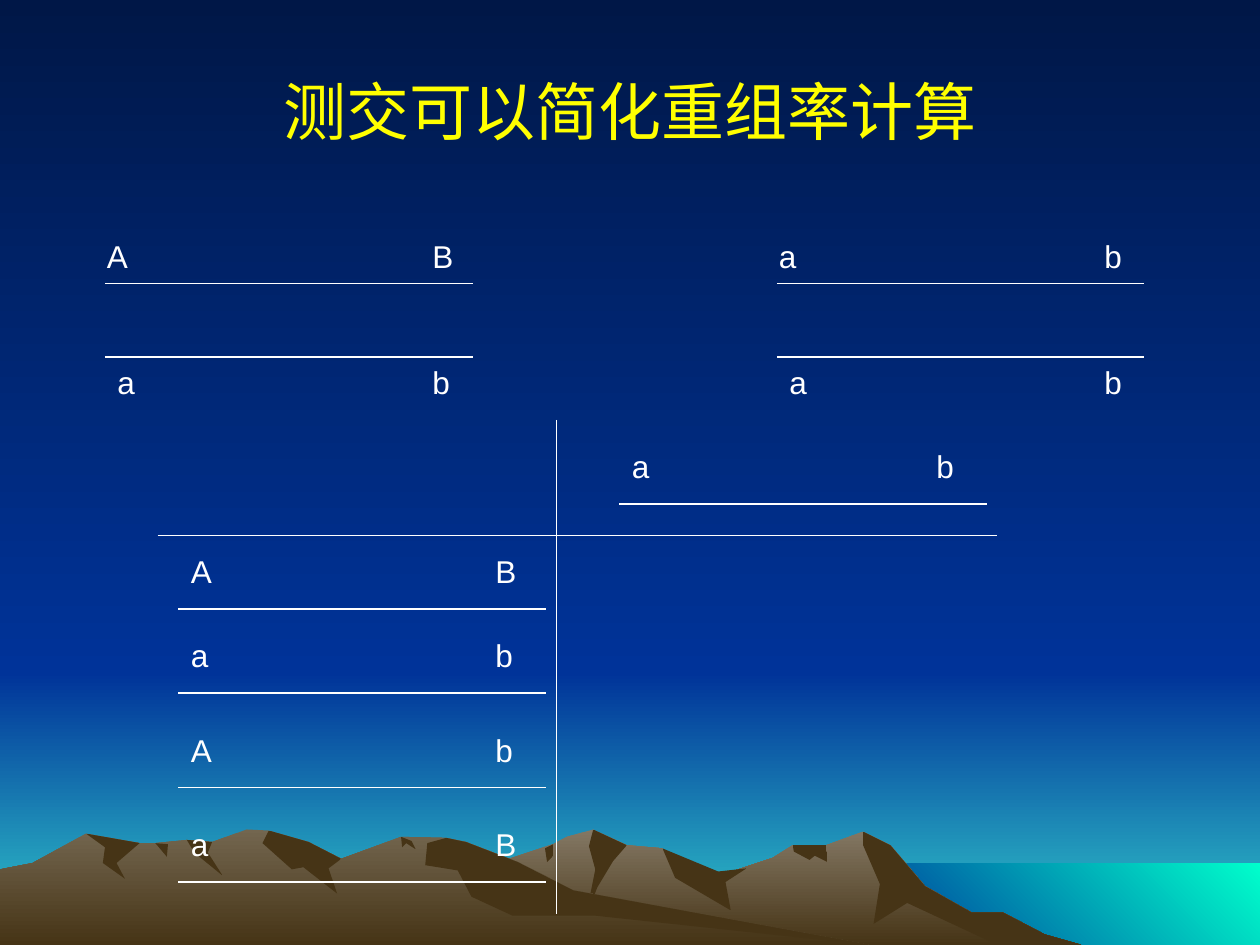
"""Build the slide on test crosses and recombination rate over a mountain scene."""
from lxml import etree
from pptx import Presentation
from pptx import util as u
from pptx.dml.color import RGBColor
from pptx.enum import shapes, text
from pptx.oxml import ns

PX = u.Inches(1) // 120
WIDE, HIGH = 1200, 900
SHORE = 640

theme = {
    "white": RGBColor.from_string("FFFFFF"),
    "gold": RGBColor.from_string("FFFF00"),
    "blue": RGBColor.from_string("003399"),
    "sky": ("001747", "003399"),
    "dusk": ("003399", "33CCCC"),
    "sea": ("003399", "00FFCC"),
    "near": ("847864", "463416"),
    "far": ("73664F", "463416"),
    "shade": ("463416", "463416"),
    "head": u.Pt(36),
    "gene": u.Pt(18),
    "rule": u.Pt(0.75),
    "latin": "Arial",
    "han": "Noto Sans CJK SC",
}

deck = Presentation()
deck.slide_width, deck.slide_height = WIDE * PX, HIGH * PX
slide = deck.slides.add_slide(deck.slide_layouts[5])
slide.background.fill.solid()
slide.background.fill.fore_color.rgb = theme["blue"]


def paint(shape, tone, angle=270):
    shape.shadow.inherit = False
    shape.line.fill.background()
    shape.fill.gradient()
    shape.fill.gradient_angle = angle
    for stop, tint in zip(shape.fill.gradient_stops, theme[tone]):
        stop.color.rgb = RGBColor.from_string(tint)


def rule(x1, y1, x2, y2):
    line = slide.shapes.add_connector(
        shapes.MSO_CONNECTOR.STRAIGHT, x1 * PX, y1 * PX, x2 * PX, y2 * PX)
    line.line.color.rgb = theme["white"]
    line.line.width = theme["rule"]
    etree.SubElement(line.element.spPr, ns.qn("a:effectLst"))


for tone, x, top, end, angle in (
    ("dusk", 0, SHORE, HIGH, 270),
    ("sky", 0, 0, SHORE, 270),
    ("sea", 820, 822, HIGH, 45),
):
    band = slide.shapes.add_shape(
        shapes.MSO_SHAPE.RECTANGLE, x * PX, top * PX, (WIDE - x) * PX, (end - top) * PX)
    paint(band, tone, angle)

near = [
    (310, HIGH), (392, 851), (479, 820), (527, 804), (540, 797), (565, 790), (597, 805),
    (631, 808), (643, 828), (679, 836), (736, 817), (755, 805), (787, 805), (822, 792),
    (848, 805), (881, 844), (925, 869), (955, 869), (995, 890), (1030, HIGH),
]
far = [
    (0, 828), (31, 822), (82, 794), (133, 803), (148, 803), (178, 800), (202, 802),
    (235, 790), (256, 791), (294, 802), (325, 818), (382, 797), (425, 798), (444, 802),
    (493, 821), (546, 848), (828, HIGH),
]
# Each slope: first and last crest point, then its foot as steps from the first point.
slopes = {
    "near": (
        (3, 3, [(0, 11), (-6, 17), (-8, 4)]),
        (5, 6, [(19, 30), (4, 55), (-7, 83), (2, 38), (-4, 16)]),
        (7, 7, [(53, 22), (80, 19), (60, 32), (65, 59), (12, 28)]),
        (11, 12, [(33, 16), (21, 10), (16, 14), (1, 6)]),
        (13, 19, [(128, 108), (42, 68), (10, 88), (16, 50), (0, 13)]),
    ),
    "far": (
        (2, 3, [(29, 28), (37, 43), (16, 28), (18, 13)]),
        (4, 4, [(12, 1), (11, 13)]),
        (5, 6, [(20, 12), (34, 34), (7, 12)]),
        (8, 10, [(57, 36), (65, 60), (33, 35), (22, 37), (-6, 12)]),
        (11, 11, [(10, 4), (14, 12), (5, 6), (1, 10)]),
        (12, 16, [(141, 74), (63, 74), (24, 56), (11, 31), (-20, 26), (-18, 5)]),
    ),
}
for tone, crest in (("near", near), ("far", far)):
    parts = [(tone, crest + [(crest[0][0], HIGH)])]
    for first, last, foot in slopes[tone]:
        x, y = crest[first]
        edge = crest[first:last + 1]
        parts.append(("shade", edge + [(x + dx, y + dy) for dx, dy in foot]))
    for fill, dots in parts:
        path = slide.shapes.build_freeform(*dots[0], scale=PX)
        path.add_line_segments(dots[1:])
        paint(path.convert_to_shape(), fill)

title = slide.shapes.title
title.element.getparent().append(title.element)
title.left, title.top, title.width, title.height = 60 * PX, 30 * PX, 1080 * PX, 150 * PX
title.text_frame.vertical_anchor = text.MSO_ANCHOR.MIDDLE
para = title.text_frame.paragraphs[0]
para.alignment = text.PP_ALIGN.CENTER
run = para.add_run()
run.text = "测交可以简化重组率计算"
run.font.size = theme["head"]
run.font.name = theme["han"]
run.font.color.rgb = theme["gold"]
etree.SubElement(run.font._element, ns.qn("a:ea"), typeface=theme["han"])

rule(530, 400, 530, 870)
rule(150, 510, 950, 510)

strands = []
for x, upper, lower in ((100, "AB", "ab"), (740, "ab", "ab")):
    strands.append((upper, x, 270, x - 10, x + 300, 220))
    strands.append((lower, x, 340, x, x + 300, 340))
for genes, x, y in (
    ("ab", 590, 480),
    ("AB", 170, 580),
    ("ab", 170, 660),
    ("Ab", 170, 750),
    ("aB", 170, 840),
):
    strands.append((genes, x, y, x, x + 290, y - 60))

for genes, x, y, left, right, top in strands:
    rule(x, y, x + 350, y)
    for gene, spot in zip(genes, (left, right)):
        wide = 47 if gene.isupper() else 43
        box = slide.shapes.add_textbox(spot * PX, top * PX, wide * PX, 53 * PX)
        box.text_frame.word_wrap = False
        box.text_frame.auto_size = text.MSO_AUTO_SIZE.SHAPE_TO_FIT_TEXT
        run = box.text_frame.paragraphs[0].add_run()
        run.text = gene
        run.font.size = theme["gene"]
        run.font.name = theme["latin"]
        run.font.color.rgb = theme["white"]

deck.save("out.pptx")
